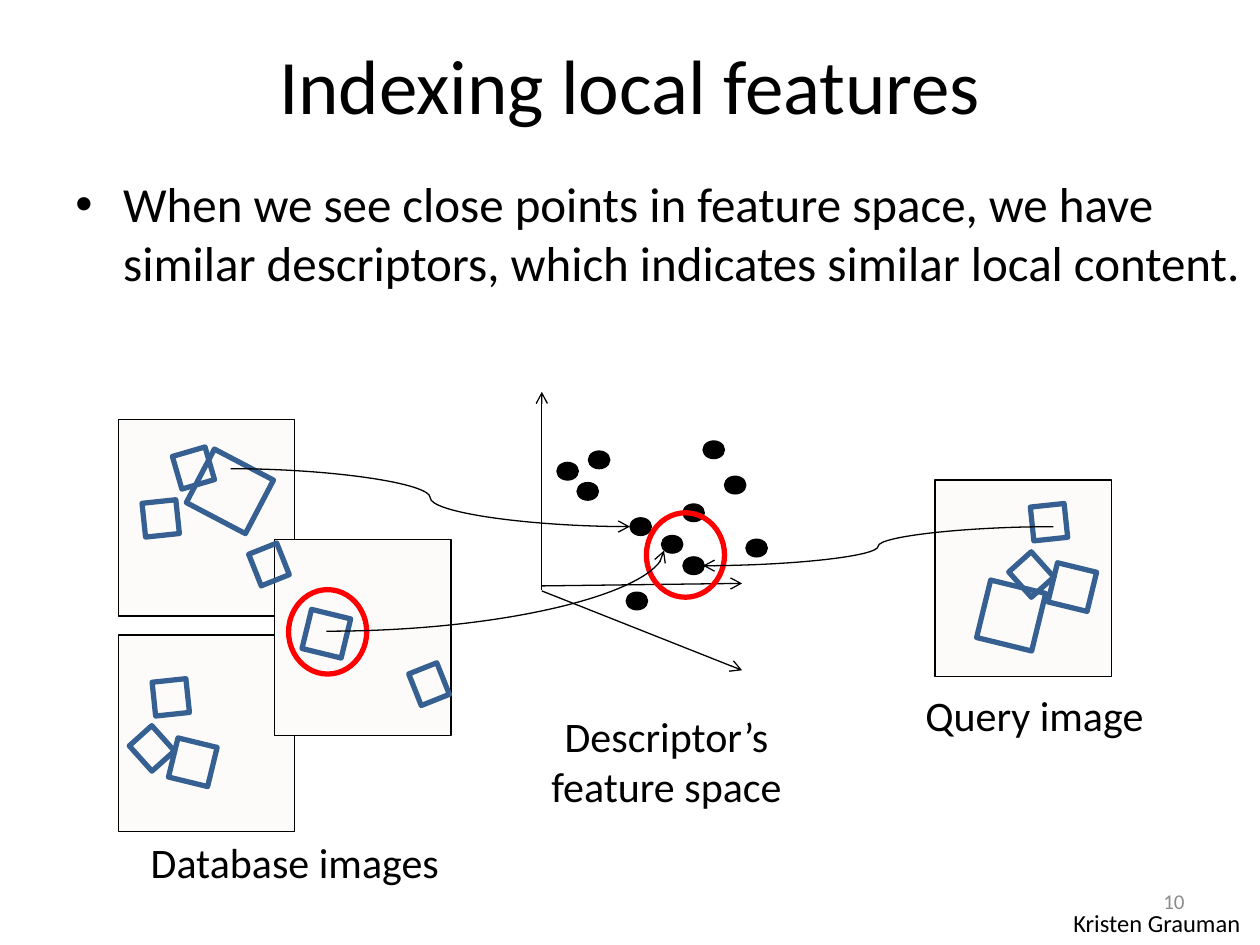
from lxml import etree
from pptx import Presentation
from pptx.dml.color import RGBColor
from pptx.enum.shapes import MSO_CONNECTOR, MSO_SHAPE
from pptx.enum.text import MSO_ANCHOR, PP_ALIGN
from pptx.oxml.ns import qn
from pptx.util import Inches, Pt

RECT, OVAL = MSO_SHAPE.RECTANGLE, MSO_SHAPE.OVAL
LINE, CURVE = MSO_CONNECTOR.STRAIGHT, MSO_CONNECTOR.CURVE
LEFT, MID, RIGHT = PP_ALIGN.LEFT, PP_ALIGN.CENTER, PP_ALIGN.RIGHT
TOP, CENTER = MSO_ANCHOR.TOP, MSO_ANCHOR.MIDDLE

BLACK = RGBColor(0x00, 0x00, 0x00)
PAPER = RGBColor(0xFC, 0xFB, 0xF9)
BLUE = RGBColor(0x37, 0x60, 0x92)
RED = RGBColor(0xFF, 0x00, 0x00)
GRAY = RGBColor(0x8C, 0x8C, 0x8C)
FONT = "Calibri"


def place(shape, x, y, w, h):
    shape.left, shape.top = Inches(x), Inches(y)
    shape.width, shape.height = Inches(w), Inches(h)


def write(shape, text, size, align=LEFT, anchor=TOP, color=BLACK):
    frame = shape.text_frame
    frame.word_wrap = True
    frame.vertical_anchor = anchor
    frame.text = text
    para = frame.paragraphs[0]
    para.alignment = align
    font = para.runs[0].font
    font.name, font.size = FONT, Pt(size)
    font.color.rgb = color
    return para


def add_text(slide, x, y, w, h, text, size, **style):
    box = slide.shapes.add_textbox(Inches(x), Inches(y), Inches(w), Inches(h))
    return write(box, text, size, **style)


def add_shape(slide, kind, x, y, w, h, line, width, fill=None, turn=0):
    shape = slide.shapes.add_shape(kind, Inches(x), Inches(y), Inches(w), Inches(h))
    shape.shadow.inherit = False
    shape.rotation = turn
    if fill is None:
        shape.fill.background()
    else:
        shape.fill.solid()
        shape.fill.fore_color.rgb = fill
    shape.line.color.rgb = line
    shape.line.width = Pt(width)


def add_frame(slide, x, y):
    add_shape(slide, RECT, x, y, 1.4, 1.56, BLACK, 0.75, PAPER)


def add_patch(slide, x, y, w, h, turn):
    add_shape(slide, RECT, x, y, w, h, BLUE, 3, turn=turn)


def add_ring(slide, x, y):
    add_shape(slide, OVAL, x, y, 0.62, 0.67, RED, 3)


def add_arrow(slide, kind, x1, y1, x2, y2):
    arrow = slide.shapes.add_connector(
        kind, Inches(x1), Inches(y1), Inches(x2), Inches(y2))
    arrow.line.color.rgb = BLACK
    arrow.line.width = Pt(0.75)
    etree.SubElement(arrow.line._get_or_add_ln(), qn("a:tailEnd"), type="arrow")
    etree.SubElement(arrow._element.spPr, qn("a:effectLst"))
    return arrow


def add_head(slide, x, y, w, h):
    title = slide.shapes.title
    place(title, x, y, w, h)
    write(title, "Indexing local features", 44, MID, CENTER)


def add_body(slide, x, y, w, h):
    para = add_text(
        slide, x, y, w, h,
        "When we see close points in feature space, we have similar "
        "descriptors, which indicates similar local content.", 28)
    props = para._p.get_or_add_pPr()
    props.set("marL", str(Inches(0.38)))
    props.set("indent", str(Inches(-0.38)))
    etree.SubElement(props, qn("a:buFont"), typeface="Arial")
    etree.SubElement(props, qn("a:buChar"), char="•")


def add_base(slide, x, y):
    for dx, dy in ((0, 0), (0, 1.71), (1.24, 0.95)):
        add_frame(slide, x + dx, y + dy)
    for dx, dy, w, h, turn in (
        (0.46, 0.25, 0.27, 0.27, 73.8),
        (0.62, 0.33, 0.53, 0.48, 27.7),
        (0.13, 2.49, 0.27, 0.24, 48.1),
        (0.2, 0.65, 0.27, 0.27, 84),
        (1.06, 1.03, 0.27, 0.24, 68.3),
        (0.28, 2.07, 0.27, 0.27, 84),
        (2.33, 1.98, 0.27, 0.24, 68.3),
        (0.43, 2.56, 0.32, 0.32, 13.7),
        (1.49, 1.54, 0.32, 0.32, 13.7),
    ):
        add_patch(slide, x + dx, y + dy, w, h, turn)
    add_ring(slide, x + 1.35, y + 1.35)
    add_text(slide, x + 0.11, y + 3.26, 2.58, 0.91, "Database images", 24, align=MID)


def add_space(slide, x, y):
    for x1, y1, x2, y2 in (
        (0.3, 1.54, 1.89, 1.52),
        (0.3, 1.57, 0.3, 0),
        (0.3, 1.58, 1.89, 2.21),
    ):
        add_arrow(slide, LINE, x + x1, y + y1, x + x2, y + y2)
    for dx, dy in (
        (0.42, 0.56), (0.58, 0.72), (0.67, 0.47), (1, 1), (1.25, 1.14),
        (1.42, 0.89), (1.58, 0.39), (1.75, 0.67), (1.92, 1.17),
        (0.97, 1.59), (1.42, 1.31),
    ):
        add_shape(slide, OVAL, x + dx, y + dy, 0.17, 0.14, BLACK, 0.75, BLACK)
    add_ring(slide, x + 1.13, y + 0.96)
    add_text(slide, x, y + 2.48, 2.58, 0.91,
             "Descriptor’s feature space", 24, align=MID)


def add_query(slide, x, y):
    add_frame(slide, x, y)
    for dx, dy, w, h, turn in (
        (0.63, 0.63, 0.27, 0.24, 48.1),
        (0.77, 0.2, 0.27, 0.27, 84),
        (0.93, 0.69, 0.32, 0.32, 13.7),
        (0.38, 0.84, 0.45, 0.47, 13.7),
    ):
        add_patch(slide, x + dx, y + dy, w, h, turn)
    add_text(slide, x - 0.25, y + 1.61, 2.08, 0.91, "Query image", 24, align=MID)


def add_links(slide):
    add_arrow(slide, CURVE, 1.83, 3.72, 5, 4.18)
    add_arrow(slide, CURVE, 8.36, 4.18, 5.58, 4.49)
    bend = add_arrow(slide, CURVE, 2.59, 5.01, 5.27, 4.37)
    bend._element.spPr.find(qn("a:prstGeom")).set("prst", "curvedConnector2")


def add_foot(slide, x, y):
    add_text(slide, x + 1.25, y + 0.21, 2.08, 0.34, "Kristen Grauman", 14)
    add_text(slide, x, y, 2.33, 0.4, "10", 12,
             align=RIGHT, anchor=CENTER, color=GRAY)


def main():
    deck = Presentation()
    deck.slide_width, deck.slide_height = Inches(10), Inches(7.5)
    slide = deck.slides.add_slide(deck.slide_layouts[5])
    add_head(slide, 0.5, 0.04, 9, 1.25)
    add_body(slide, 0.5, 1.33, 9.5, 4.08)
    add_base(slide, 0.94, 3.33)
    add_space(slide, 4, 3.11)
    add_query(slide, 7.42, 3.81)
    add_links(slide)
    add_foot(slide, 7.17, 6.95)
    deck.save("out.pptx")


if __name__ == "__main__":
    main()
